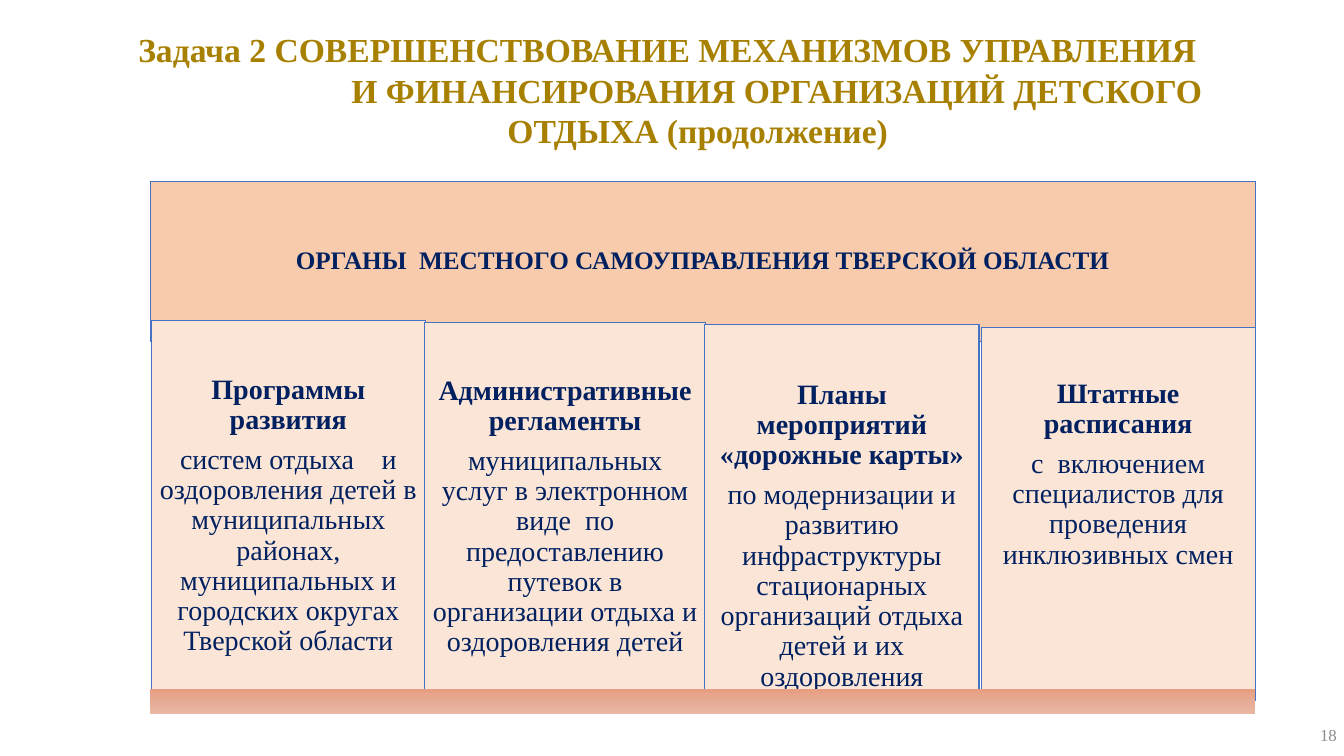
import copy
from dataclasses import dataclass

import pptx
import pptx.dml.color
import pptx.enum.shapes
import pptx.enum.text
import pptx.oxml.ns
import pptx.util

Inches = pptx.util.Inches
Pt = pptx.util.Pt
ALIGN = pptx.enum.text.PP_ALIGN
ANCHOR = pptx.enum.text.MSO_ANCHOR

FONT = "Times New Roman"
COLORS = {
    "title": "A88000",
    "text": "002060",
    "number": "8C8C8C",
    "header": "F8CBAD",
    "card": "FBE5D6",
    "outline": "4472C4",
}
BAND_STOPS = ("E79E81", "E6AB95", "EAB7A3")


@dataclass
class TitleLine:
    text: str
    margin_left: float = 0
    margin_right: float = 0


@dataclass
class Card:
    left: float
    top: float
    width: float
    height: float
    text_top: float
    heading: str
    details: str


TITLE_LINES = [
    TitleLine("Задача 2 СОВЕРШЕНСТВОВАНИЕ МЕХАНИЗМОВ УПРАВЛЕНИЯ", margin_right=0.6),
    TitleLine("И ФИНАНСИРОВАНИЯ ОРГАНИЗАЦИЙ ДЕТСКОГО", margin_left=1.57),
    TitleLine("ОТДЫХА (продолжение)"),
]
CARDS = [
    Card(1.5, 3.18, 2.72, 3.84, 0.54, "Программы развития",
         "систем отдыха\tи оздоровления детей в муниципальных районах, "
         "муниципальных и городских округах Тверской области"),
    Card(4.21, 3.2, 2.79, 3.87, 0.53, "Административные регламенты",
         "муниципальных услуг в электронном виде  по предоставлению путевок "
         "в организации отдыха и оздоровления детей"),
    Card(6.99, 3.22, 2.72, 3.77, 0.55, "Планы мероприятий «дорожные карты»",
         "по модернизации и развитию инфраструктуры стационарных "
         "организаций отдыха детей и их оздоровления"),
    Card(9.73, 3.25, 2.72, 3.7, 0.51, "Штатные расписания",
         "с  включением специалистов для проведения инклюзивных смен"),
]


def rgb(hex_color: str) -> pptx.dml.color.RGBColor:
    return pptx.dml.color.RGBColor.from_string(hex_color)


def set_frame(frame, anchor, side: float, top: float, bottom: float) -> None:
    frame.word_wrap = True
    frame.auto_size = pptx.enum.text.MSO_AUTO_SIZE.NONE
    frame.vertical_anchor = anchor
    frame.margin_left = frame.margin_right = Inches(side)
    frame.margin_top, frame.margin_bottom = Inches(top), Inches(bottom)


def style_paragraph(paragraph, size: float, color: str, bold: bool = False,
                    align=ALIGN.CENTER) -> None:
    paragraph.alignment = align
    for run in paragraph.runs:
        run.font.name = FONT
        run.font.size = Pt(size)
        run.font.bold = bold
        run.font.color.rgb = rgb(COLORS[color])


def add_box(slide, left: float, top: float, width: float, height: float):
    box = slide.shapes.add_shape(
        pptx.enum.shapes.MSO_SHAPE.RECTANGLE,
        Inches(left), Inches(top), Inches(width), Inches(height))
    box.shadow.inherit = False
    return box


def add_panel(slide, left: float, top: float, width: float, height: float, fill: str):
    panel = add_box(slide, left, top, width, height)
    panel.fill.solid()
    panel.fill.fore_color.rgb = rgb(COLORS[fill])
    panel.line.color.rgb = rgb(COLORS["outline"])
    panel.line.width = Pt(0.75)
    return panel


def add_title(slide) -> None:
    title = slide.shapes.title
    title.left, title.top = Inches(1), Inches(0.25)
    title.width, title.height = Inches(11.84), Inches(1.3)
    frame = title.text_frame
    set_frame(frame, ANCHOR.TOP, 0.07, 0.04, 0.04)
    frame.text = "\n".join(line.text for line in TITLE_LINES)
    for paragraph, line in zip(frame.paragraphs, TITLE_LINES):
        style_paragraph(paragraph, 24, "title", bold=True)
        properties = paragraph._p.get_or_add_pPr()
        properties.set("marL", str(Inches(line.margin_left)))
        properties.set("marR", str(Inches(line.margin_right)))


def add_header(slide) -> None:
    header = add_panel(slide, 1.49, 1.8, 10.96, 1.59, "header")
    frame = header.text_frame
    set_frame(frame, ANCHOR.MIDDLE, 0.07, 0.07, 0.07)
    frame.text = "ОРГАНЫ  МЕСТНОГО САМОУПРАВЛЕНИЯ ТВЕРСКОЙ ОБЛАСТИ"
    style_paragraph(frame.paragraphs[0], 18, "text", bold=True)
    frame.paragraphs[0].line_spacing = 0.9


def add_card(slide, card: Card) -> None:
    panel = add_panel(slide, card.left, card.top, card.width, card.height, "card")
    frame = panel.text_frame
    set_frame(frame, ANCHOR.TOP, 0.08, card.text_top, 0)
    frame.text = f"{card.heading}\n{card.details}"
    heading, details = frame.paragraphs
    style_paragraph(heading, 20, "text", bold=True)
    style_paragraph(details, 20, "text")
    heading.line_spacing = details.line_spacing = 0.9
    heading.space_after = Pt(7)


def add_band(slide) -> None:
    band = add_box(slide, 1.49, 6.84, 10.96, 0.24)
    band.line.fill.background()
    band.fill.gradient()
    band.fill.gradient_angle = 270
    stop_list = band._element.spPr.find(".//" + pptx.oxml.ns.qn("a:gsLst"))
    stop_list.append(copy.deepcopy(stop_list[-1]))
    for index, stop in enumerate(band.fill.gradient_stops):
        stop.position = index / (len(BAND_STOPS) - 1)
        stop.color.rgb = rgb(BAND_STOPS[index])


def add_page_number(slide) -> None:
    number = slide.shapes.add_textbox(Inches(10.36), Inches(7.09), Inches(2.97), Inches(0.4))
    frame = number.text_frame
    set_frame(frame, ANCHOR.MIDDLE, 0.07, 0.05, 0.05)
    frame.text = "18"
    style_paragraph(frame.paragraphs[0], 12, "number", align=ALIGN.RIGHT)


def main() -> None:
    presentation = pptx.Presentation()
    presentation.slide_width = Inches(13.33)
    presentation.slide_height = Inches(7.5)
    slide = presentation.slides.add_slide(presentation.slide_layouts[5])
    add_title(slide)
    add_page_number(slide)
    add_header(slide)
    for card in CARDS:
        add_card(slide, card)
    add_band(slide)
    presentation.save("out.pptx")


if __name__ == "__main__":
    main()
